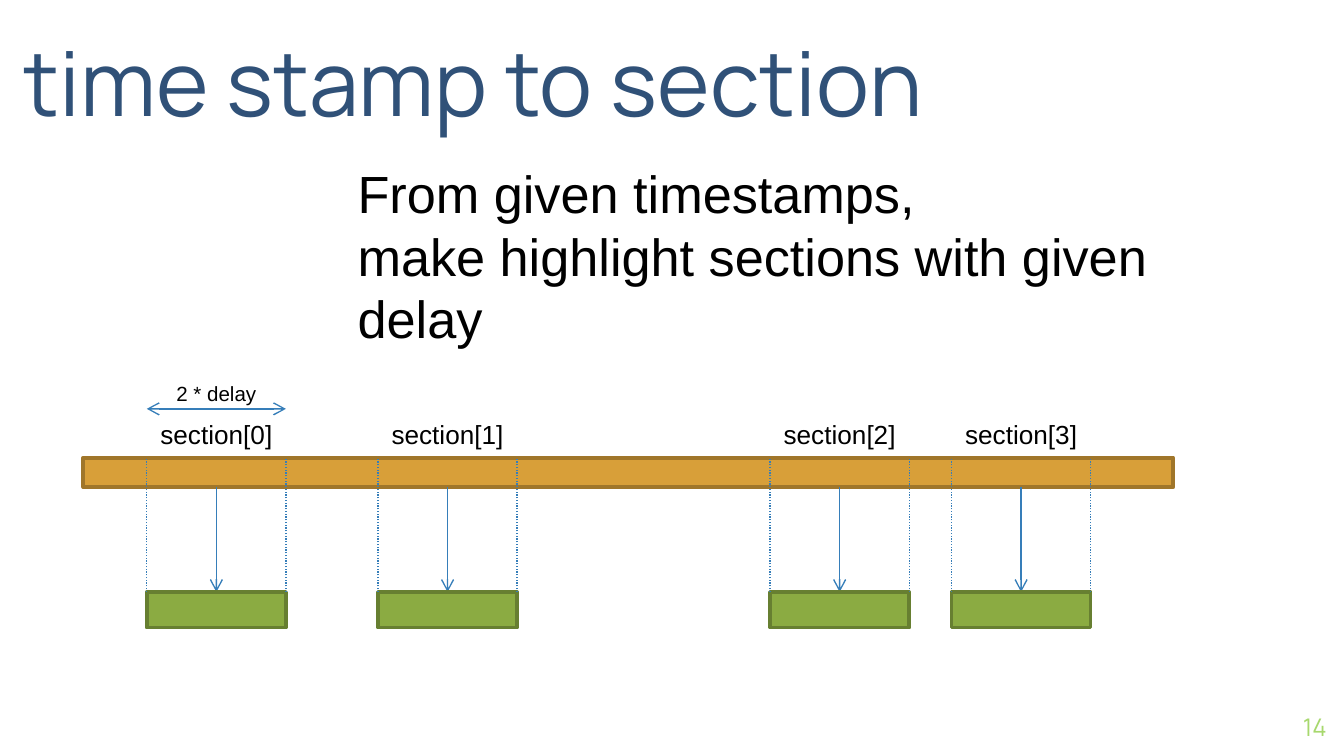
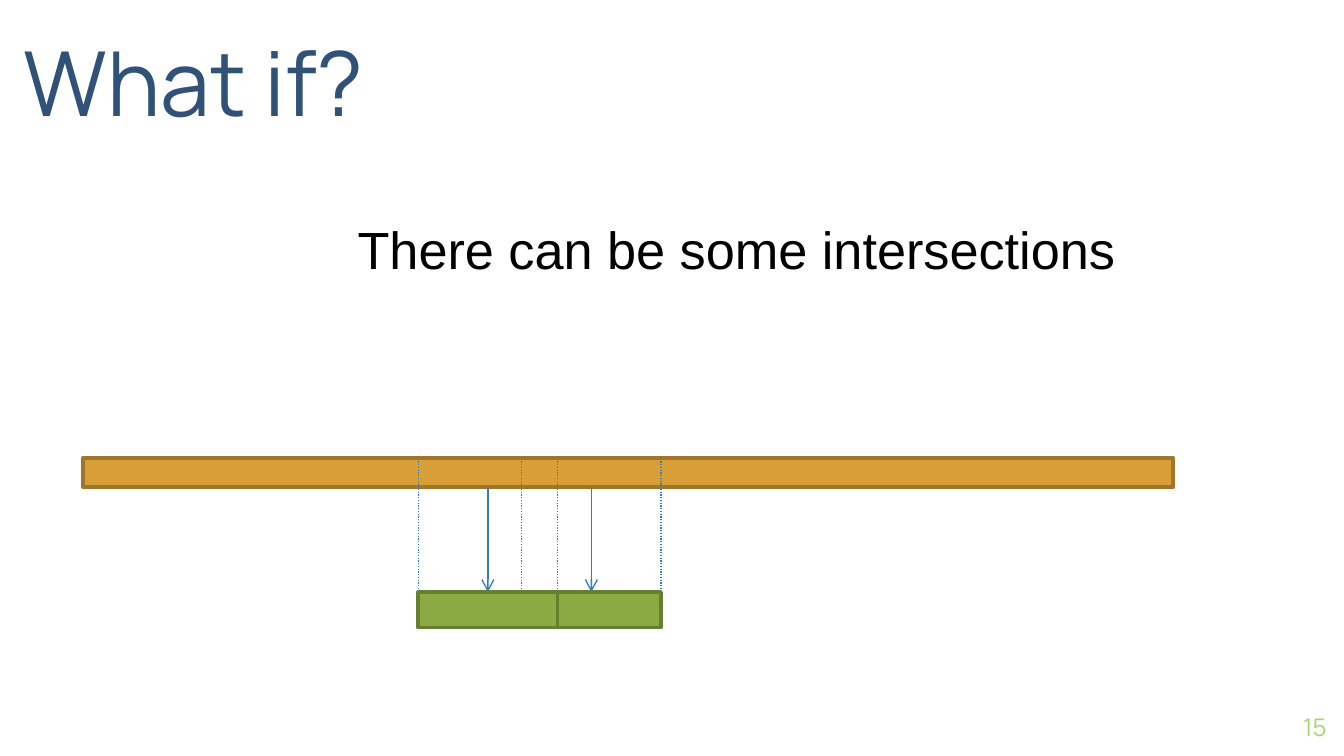
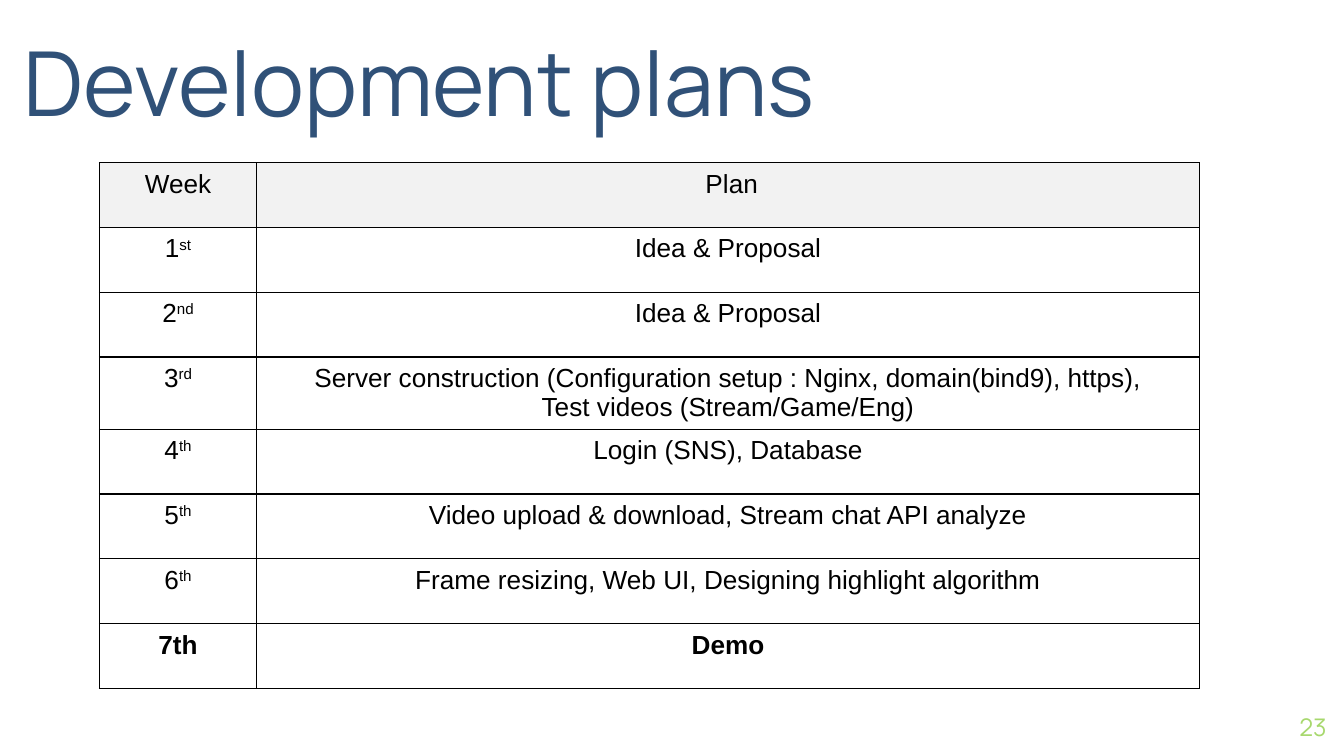
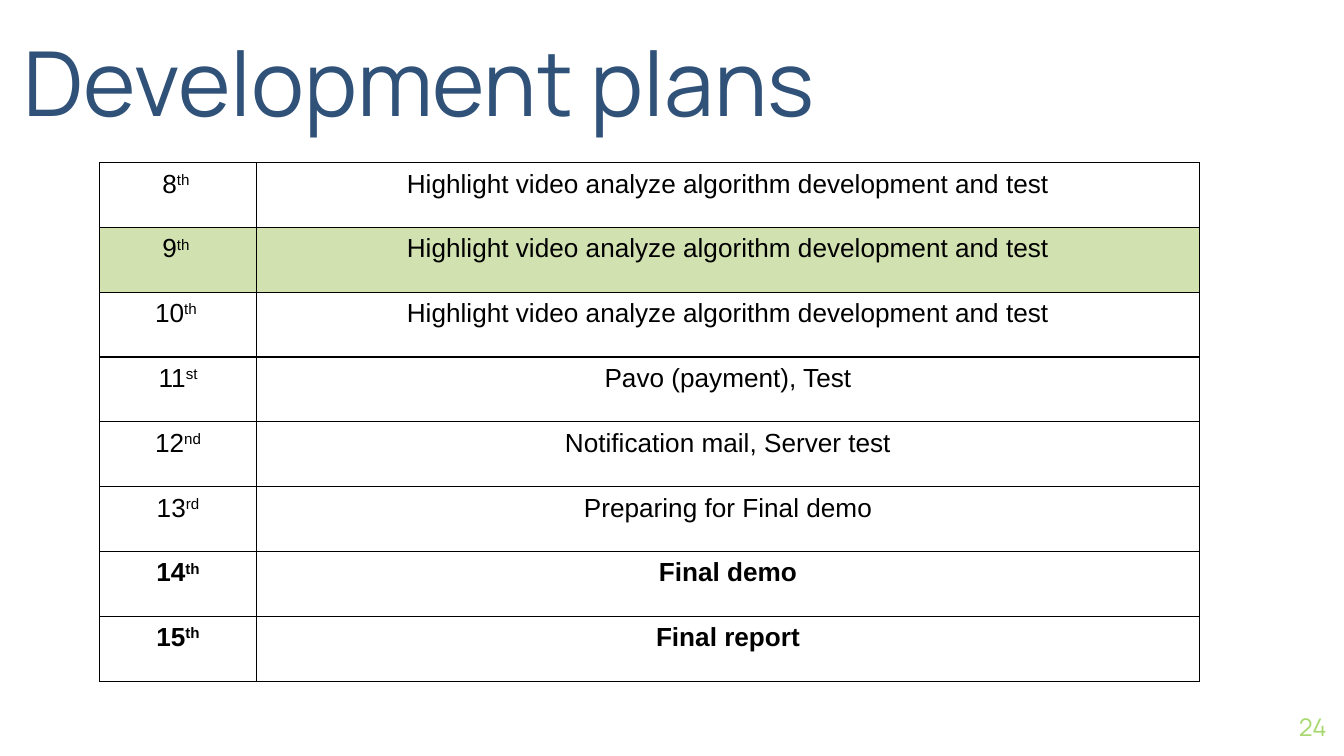
from lxml import etree
from pptx import Presentation
from pptx.dml.color import RGBColor
from pptx.enum.dml import MSO_LINE
from pptx.enum.shapes import MSO_CONNECTOR, MSO_SHAPE
from pptx.enum.text import MSO_ANCHOR, MSO_AUTO_SIZE, PP_ALIGN
from pptx.oxml.ns import qn
from pptx.util import Emu, Pt

PX = 2286

LEFT, CENTER, RIGHT = PP_ALIGN.LEFT, PP_ALIGN.CENTER, PP_ALIGN.RIGHT
TOP, MIDDLE, BOTTOM = MSO_ANCHOR.TOP, MSO_ANCHOR.MIDDLE, MSO_ANCHOR.BOTTOM
RECT, STRAIGHT = MSO_SHAPE.RECTANGLE, MSO_CONNECTOR.STRAIGHT
DOTTED = MSO_LINE.ROUND_DOT
GROW = MSO_AUTO_SIZE.SHAPE_TO_FIT_TEXT

BLACK = RGBColor(0x00, 0x00, 0x00)
NAVY = RGBColor(0x30, 0x51, 0x78)
LIME = RGBColor(0xA7, 0xD8, 0x6D)
BLUE = RGBColor(0x36, 0x7E, 0xB9)
ORANGE = RGBColor(0xD8, 0x9F, 0x39)
BROWN = RGBColor(0xA0, 0x76, 0x2A)
GREEN = RGBColor(0x8B, 0xAB, 0x42)
DARK_GREEN = RGBColor(0x67, 0x7F, 0x31)
GRAY = RGBColor(0xF2, 0xF2, 0xF2)
PALE_GREEN = RGBColor(0xD2, 0xE1, 0xB0)

BAR_TOP, BAR_HEIGHT = 1362, 88
CLIP_TOP, CLIP_WIDTH, CLIP_HEIGHT = 1762, 414, 106
ROW_HEIGHT = 193


def px(*lengths):
    return [Emu(n * PX) for n in lengths]


def write(tf, text, size=14, font="Arial", color=BLACK, bold=False,
          align=LEFT, superscript=""):
    for i, line in enumerate(text.split("\n")):
        p = tf.paragraphs[0] if i == 0 else tf.add_paragraph()
        p.alignment = align
        for part, baseline in ((line, None), (superscript, "30000")):
            if not part:
                continue
            r = p.add_run()
            r.text = part
            r.font.size = Pt(size)
            r.font.name = font
            r.font.bold = bold
            r.font.color.rgb = color
            if baseline:
                r._r.get_or_add_rPr().set("baseline", baseline)


class Deck:
    def __init__(self):
        self.prs = Presentation()
        self.prs.slide_width, self.prs.slide_height = px(4000, 2250)
        self.s = None

    def slide(self, title, number, title_width=3400):
        self.s = self.prs.slides.add_slide(self.prs.slide_layouts[6])
        self.text(str(number), 3708, 2078, 240, 172, anchor=MIDDLE, inset=False,
                  size=13, font="Manrope", color=LIME, align=RIGHT)
        self.title_width = title_width
        self.title = title

    def heading(self):
        self.text(self.title, 71, 24, self.title_width, 376, anchor=BOTTOM,
                  inset=False, size=48, font="Manrope", color=NAVY)

    def text(self, text, x, y, w, h, anchor=TOP, inset=True, grow=False, **style):
        tf = self.s.shapes.add_textbox(*px(x, y, w, h)).text_frame
        tf.word_wrap = not grow
        if grow:
            tf.auto_size = GROW
        tf.vertical_anchor = anchor
        if not inset:
            tf.margin_left = tf.margin_right = tf.margin_top = tf.margin_bottom = 0
        write(tf, text, **style)

    def body(self, text, y):
        self.text(text, 1025, y, 2444, 1212, size=28)

    def label(self, text, x, y, h, size):
        self.text(text, x, y, CLIP_WIDTH, h, grow=True, size=size, align=CENTER)

    def rect(self, x, y, w, h, fill, border):
        sp = self.s.shapes.add_shape(RECT, *px(x, y, w, h))
        sp.shadow.inherit = False
        sp.fill.solid()
        sp.fill.fore_color.rgb = fill
        sp.line.color.rgb = border
        sp.line.width = Pt(2)

    def line(self, x1, y1, x2, y2, dash=None, ends=()):
        c = self.s.shapes.add_connector(STRAIGHT, *px(x1, y1, x2, y2))
        c.line.color.rgb = BLUE
        c.line.width = Pt(0.75)
        if dash:
            c.line.dash_style = dash
        ln = c.line._get_or_add_ln()
        for end in ends:
            etree.SubElement(ln, qn(f"a:{end}"), type="arrow")
        etree.SubElement(c._element.spPr, qn("a:effectLst"))

    def timeline(self, clips):
        self.rect(248, BAR_TOP, 3244, BAR_HEIGHT, ORANGE, BROWN)
        for x in clips:
            middle = x + CLIP_WIDTH // 2
            self.line(middle, BAR_TOP + BAR_HEIGHT, middle, CLIP_TOP, ends=["tailEnd"])
            self.rect(x, CLIP_TOP, CLIP_WIDTH, CLIP_HEIGHT, GREEN, DARK_GREEN)
            for edge in (x, x + CLIP_WIDTH):
                self.line(edge, CLIP_TOP, edge, BAR_TOP, dash=DOTTED)

    def cell(self, cell, text, fill, **style):
        cell.margin_bottom = px(8)[0]
        tcPr = cell._tc.get_or_add_tcPr()
        for side in ("lnL", "lnR", "lnT", "lnB"):
            ln = etree.SubElement(tcPr, qn(f"a:{side}"), w=str(Pt(0.75)))
            solid = etree.SubElement(ln, qn("a:solidFill"))
            etree.SubElement(solid, qn("a:srgbClr"), val=str(BLACK))
        if fill:
            cell.fill.solid()
            cell.fill.fore_color.rgb = fill
        else:
            cell.fill.background()
        write(cell.text_frame, text, align=CENTER, **style)

    def plan_table(self, rows, fills, bold_rows):
        frame = self.s.shapes.add_table(
            len(rows), 2, *px(296, 484, 3274, ROW_HEIGHT * len(rows)))
        table = frame.table
        table.first_row = table.horz_banding = False
        for column, width in zip(table.columns, px(468, 2806)):
            column.width = width
        for i, (week, suffix, plan) in enumerate(rows):
            style = {"fill": fills.get(i), "bold": i in bold_rows}
            table.rows[i].height = px(ROW_HEIGHT)[0]
            self.cell(table.cell(i, 0), week, superscript=suffix, **style)
            self.cell(table.cell(i, 1), plan, **style)


def main():
    deck = Deck()

    sections = [437, 1125, 2292, 2832]
    deck.slide("time stamp to section", 14)
    deck.body("From given timestamps,\nmake highlight sections with given delay", 460)
    deck.heading()
    deck.timeline(sections)
    for i, x in enumerate(sections):
        deck.label(f"section[{i}]", x, 1226, 135, 14)
    first = sections[0]
    deck.line(first, 1217, first + CLIP_WIDTH, 1217, ends=["headEnd", "tailEnd"])
    deck.label("2 * delay", first, 1114, 114, 11)

    deck.slide("What if?", 15)
    deck.body("There can be some intersections", 628)
    deck.heading()
    deck.timeline([1553, 1245])

    deck.slide("Development plans", 23, 2756)
    deck.heading()
    deck.plan_table([
        ("Week", "", " Plan"),
        ("1", "st", "Idea & Proposal"),
        ("2", "nd", "Idea & Proposal"),
        ("3", "rd", "Server construction (Configuration setup : Nginx, domain(bind9), https),\n"
                    "Test videos (Stream/Game/Eng)"),
        ("4", "th", "Login (SNS), Database"),
        ("5", "th", "Video upload & download, Stream chat API analyze"),
        ("6", "th", "Frame resizing, Web UI, Designing highlight algorithm"),
        ("7th", "", "Demo"),
    ], fills={0: GRAY, 3: RGBColor(0xFF, 0xFF, 0xFF)}, bold_rows=[7])

    highlight = "Highlight video analyze algorithm development and test"
    white = RGBColor(0xFF, 0xFF, 0xFF)
    deck.slide("Development plans", 24, 2756)
    deck.heading()
    deck.plan_table([
        ("8", "th ", highlight),
        ("9", "th ", highlight),
        ("10", "th ", highlight),
        ("11", "st", "Pavo (payment), Test"),
        ("12", "nd", "Notification mail, Server test"),
        ("13", "rd", "Preparing for Final demo"),
        ("14", "th", "Final demo"),
        ("15", "th", "Final report"),
    ], fills={0: white, 1: PALE_GREEN, 3: white}, bold_rows=[6, 7])

    deck.prs.save("out.pptx")


if __name__ == "__main__":
    main()
